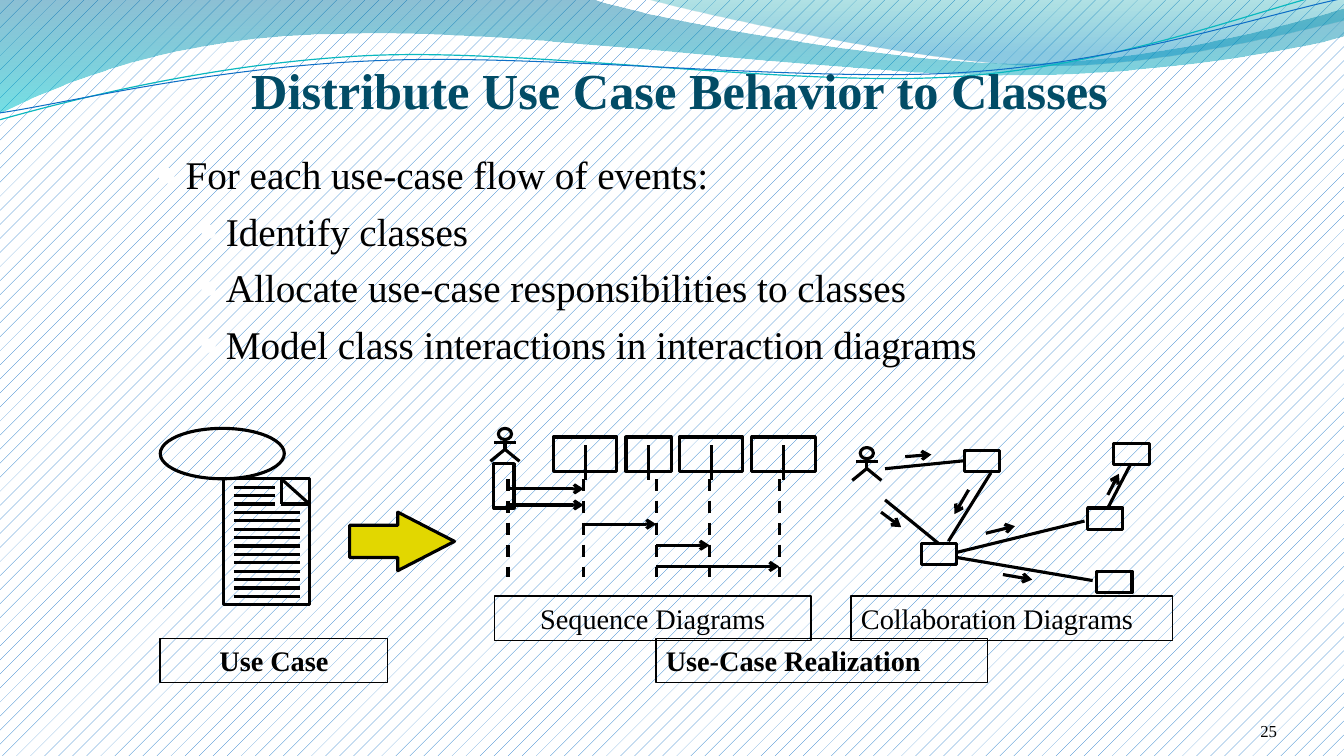
"""Build the slide on distributing use case behavior to classes."""
from lxml import etree
from pptx import Presentation
from pptx.dml.color import RGBColor
from pptx.enum.dml import MSO_LINE, MSO_PATTERN
from pptx.enum.shapes import MSO_CONNECTOR, MSO_SHAPE
from pptx.enum.text import MSO_ANCHOR, PP_ALIGN
from pptx.oxml.ns import qn
from pptx.util import Pt

RECTANGLE, OVAL, ARROW = MSO_SHAPE.RECTANGLE, MSO_SHAPE.OVAL, MSO_SHAPE.RIGHT_ARROW
STRAIGHT, DASH, PCT5 = MSO_CONNECTOR.STRAIGHT, MSO_LINE.DASH, MSO_PATTERN.PERCENT_5
LEFT, CENTER, RIGHT = PP_ALIGN.LEFT, PP_ALIGN.CENTER, PP_ALIGN.RIGHT
TOP, MIDDLE, BOTTOM = MSO_ANCHOR.TOP, MSO_ANCHOR.MIDDLE, MSO_ANCHOR.BOTTOM
BLACK, WHITE = RGBColor(0, 0, 0), RGBColor(255, 255, 255)
BLUE, TEAL = RGBColor(0x0F, 0x6F, 0xC6), RGBColor(0x0A, 0xB8, 0xBF)
NAVY, YELLOW = RGBColor(0x02, 0x4C, 0x66), RGBColor(0xE2, 0xD7, 0x00)
DEEP, AQUA = RGBColor(0x00, 0x74, 0xA1), RGBColor(0x00, 0xC6, 0xCF)
SEA, SKY = RGBColor(0x00, 0xA1, 0xA9), RGBColor(0x00, 0x8B, 0xBF)
FONT = "Times New Roman"
STROKE = 2.25

TITLE = "Distribute Use Case Behavior to Classes"
BULLETS = [
    (0, "For each use-case flow of events:"),
    (1, "Identify classes"),
    (1, "Allocate use-case responsibilities to classes"),
    (1, "Model class interactions in interaction diagrams"),
]
LEVELS = [(21.6, -21.6, 95), (50.4, -19.4, 85)]
PAGE_NUMBER = "25"
LABELS = [
    ("Use Case", 114.3, 456, 162.7, True, CENTER),
    ("Use-Case Realization", 468.5, 456, 236.9, True, LEFT),
    ("Sequence Diagrams", 353.2, 425.8, 226.1, False, CENTER),
    ("Collaboration Diagrams", 607.9, 425.8, 229.7, False, LEFT),
]
RIBBONS = [
    ([(0, -0.7), (422.6, -0.7), (456.5, 12.2, 637.2, 45.4, 727.9, 45.4),
      (819.4, 45.4, 920.2, 18.7, 959.8, 6.5), (961.2, 25.9),
      (943.9, 31.7, 835.2, 54.7, 715.7, 54), (596.9, 54, 366.5, 20.2, 247, 24.5),
      (123.8, 25.2, 43.9, 59.8, -0.7, 81.4)], [(0, DEEP, 45), (1, AQUA, 55)]),
    ([(460.1, -0.7), (488.9, 7.9, 654.5, 44.6, 738, 46.8),
      (821.5, 49.7, 923, 23, 959.8, 15.1), (959.8, 0)], [(0, SEA, 30), (0.8, SKY, 45)]),
]
WAVES = [
    ([(-0.7, 85.7), (46.1, 72.7, 151.9, 44.6, 265.7, 39.6),
      (379.4, 34.6, 568.8, 62.6, 684, 54.7), (799.2, 46.8, 901.4, 5.8, 958.3, -7.2)], TEAL, 0.85),
    ([(0, 80.6), (45.4, 74.2, 151.9, 47.5, 272.2, 43.2),
      (386.6, 38.2, 573.1, 59, 687.6, 51.8), (802.8, 44.6, 903.6, 10.1, 960.5, -1.4)], BLUE, 0.75),
]
ACTORS = [(360.7, 306), (619.2, 319.7)]
CLASSES = [(395.3, 45.4), (447.1, 32.4), (485.3, 45.4), (537.1, 45.4)]
LIFELINES = [362.9, 416.9, 468.7, 506.9, 556.6]
MESSAGES = [(0, 1, 349.2), (0, 1, 360.7), (1, 2, 374.4), (2, 3, 389.5), (2, 4, 404.6)]
FOLD = [(200.9, 342, 221, 360), (200.9, 342, 200.9, 360), (221, 360, 200.9, 360)]
OBJECTS = [(689, 321.8), (658.1, 388.1), (783.4, 408.2), (776.9, 362.9), (795.6, 316.8)]
LINKS = [
    (632.2, 357.1, 670.3, 388.1), (632.2, 334.8, 689.8, 329), (683.3, 398.2, 780.5, 414.7),
    (683.3, 394.6, 774.7, 372.2), (791.3, 362.9, 807.8, 331.2), (707.8, 337.7, 677.5, 386.6),
]
CALLS = [
    (629.3, 365.8, 643.7, 376.6), (691.9, 349.9, 681.8, 367.2), (704.2, 380.9, 725, 375.8),
    (716.4, 410.4, 737.3, 414), (791.3, 353.5, 799.2, 338.4), (646.6, 326.2, 665.3, 324.7),
]

deck = Presentation()
deck.slide_width, deck.slide_height = Pt(960), Pt(540)
page = deck.slides.add_slide(deck.slide_layouts[5])
backdrop = page.background.fill
backdrop.patterned()
backdrop.pattern = PCT5
backdrop.fore_color.rgb, backdrop.back_color.rgb = BLUE, WHITE


def outline(shape, color=BLACK, width=STROKE):
    shape.line.color.rgb = color
    shape.line.width = Pt(width)


def draw_shape(kind, left, top, width, height, fill=None, stroke=STROKE):
    shape = page.shapes.add_shape(kind, Pt(left), Pt(top), Pt(width), Pt(height))
    shape.shadow.inherit = False
    if fill is None:
        shape.fill.background()
    else:
        shape.fill.solid()
        shape.fill.fore_color.rgb = fill
    outline(shape, width=stroke)
    return shape


def draw_line(x1, y1, x2, y2, dashed=False, arrow=False):
    line = page.shapes.add_connector(STRAIGHT, Pt(x1), Pt(y1), Pt(x2), Pt(y2))
    outline(line)
    if dashed:
        line.line.dash_style = DASH
    properties = line.element.spPr
    if arrow:
        etree.SubElement(properties.find(qn("a:ln")), qn("a:tailEnd"), type="arrow")
    etree.SubElement(properties, qn("a:effectLst"))


def trace(steps, closed=False):
    ends = [(Pt(step[-2]), Pt(step[-1])) for step in steps]
    builder = page.shapes.build_freeform(*ends[0])
    builder.add_line_segments(ends[1:], close=closed)
    shape = builder.convert_to_shape()
    segments = list(shape.element.spPr.iter(qn("a:lnTo")))
    for segment, step in zip(segments, steps[1:]):
        if len(step) == 6:
            segment.tag = qn("a:cubicBezTo")
            for position in (0, 2):
                point = etree.Element(qn("a:pt"), x=str(Pt(step[position]) - shape.left),
                                      y=str(Pt(step[position + 1]) - shape.top))
                segment.insert(position // 2, point)
    shape.shadow.inherit = False
    shape.fill.background()
    return shape


def set_frame(shape, anchor, side, edge):
    frame = shape.text_frame
    frame.word_wrap = True
    frame.vertical_anchor = anchor
    frame.margin_left = frame.margin_right = Pt(side)
    frame.margin_top = frame.margin_bottom = Pt(edge)
    return frame


def write(para, text, size, align=LEFT, bold=False, color=BLACK):
    para.alignment = align
    span = para.add_run()
    span.text = text
    span.font.name, span.font.size, span.font.bold = FONT, Pt(size), bold
    span.font.color.rgb = color


def draw_actor(center, top):
    draw_shape(OVAL, center - 4.7, top, 9.4, 8)
    draw_line(center, top + 8, center, top + 15)
    draw_line(center - 7.6, top + 10, center + 7.6, top + 10)
    outline(trace([(center - 10.4, top + 23.5), (center, top + 15), (center + 10.4, top + 23.5)]))


for steps, stops in RIBBONS:
    ribbon = trace(steps, closed=True)
    ribbon.line.fill.background()
    ribbon.fill.gradient()
    ribbon.fill.gradient_angle = 270
    for stop, (position, color, _) in zip(ribbon.fill.gradient_stops, stops):
        stop.position, stop.color.rgb = position, color
    for tint, (_, _, alpha) in zip(ribbon.element.spPr.iter(qn("a:srgbClr")), stops):
        etree.SubElement(tint, qn("a:alpha"), val=str(alpha * 1000))
for steps, color, width in WAVES:
    outline(trace(steps), color, width)

number = page.shapes.add_textbox(Pt(832.3), Pt(500.4), Pt(79.9), Pt(28.8))
write(set_frame(number, BOTTOM, 0, 0).paragraphs[0], PAGE_NUMBER, 12, RIGHT)

draw_shape(OVAL, 114.5, 306, 88.6, 36)
draw_shape(RECTANGLE, 159.8, 342, 61.2, 90)
for edge in FOLD:
    draw_line(*edge)
for row in range(14):
    draw_line(167, 348 + 6 * row, 196.6 if row < 3 else 214.6, 348 + 6 * row)
arrow = draw_shape(ARROW, 249.8, 365.8, 74.9, 41.8, YELLOW)
arrow.adjustments[0], arrow.adjustments[1] = 0.55, 0.97

for center, top in ACTORS:
    draw_actor(center, top)
draw_shape(RECTANGLE, 352.8, 331.2, 14.4, 31.7)
for left, width in CLASSES:
    draw_shape(RECTANGLE, left, 312.2, width, 24.5)
    draw_line(left + width / 2, 318.2, left + width / 2, 342.7)
for x in LIFELINES:
    draw_line(x, 342, x, 411.8, dashed=True)
for sender, receiver, y in MESSAGES:
    draw_line(LIFELINES[sender], y, LIFELINES[receiver], y, arrow=True)

for link in LINKS:
    draw_line(*link)
for call in CALLS:
    draw_line(*call, arrow=True)
for left, top in OBJECTS:
    draw_shape(RECTANGLE, left, top, 25.2, 15.1)
for text, left, top, width, bold, align in LABELS:
    label = draw_shape(RECTANGLE, left, top, width, 31.7, stroke=1)
    write(set_frame(label, TOP, 7.2, 3.6).paragraphs[0], text, 20.2, align, bold)

title = page.shapes.title
title.left, title.top, title.width, title.height = Pt(87.1), Pt(43.2), Pt(797), Pt(41.8)
write(set_frame(title, MIDDLE, 7.9, 4.3).paragraphs[0], TITLE, 36, CENTER, True, NAVY)
page.shapes.element.append(title.element)

body = page.shapes.add_textbox(Pt(101.5), Pt(102.2), Pt(756.7), Pt(414))
frame = set_frame(body, TOP, 9.4, 5)
for index, (level, text) in enumerate(BULLETS):
    para = frame.add_paragraph() if index else frame.paragraphs[0]
    margin, indent, percent = LEVELS[level]
    para.level = level
    settings = para._p.get_or_add_pPr()
    settings.set("marL", str(Pt(margin)))
    settings.set("indent", str(Pt(indent)))
    tint = etree.SubElement(settings, qn("a:buClr"))
    etree.SubElement(tint, qn("a:srgbClr"), val=str(WHITE))
    etree.SubElement(settings, qn("a:buSzPct"), val=str(percent * 1000))
    etree.SubElement(settings, qn("a:buFont"), typeface=FONT)
    etree.SubElement(settings, qn("a:buChar"), char="●")
    if index:
        para.space_before = Pt(7)
    write(para, text, 28)

deck.save("out.pptx")
